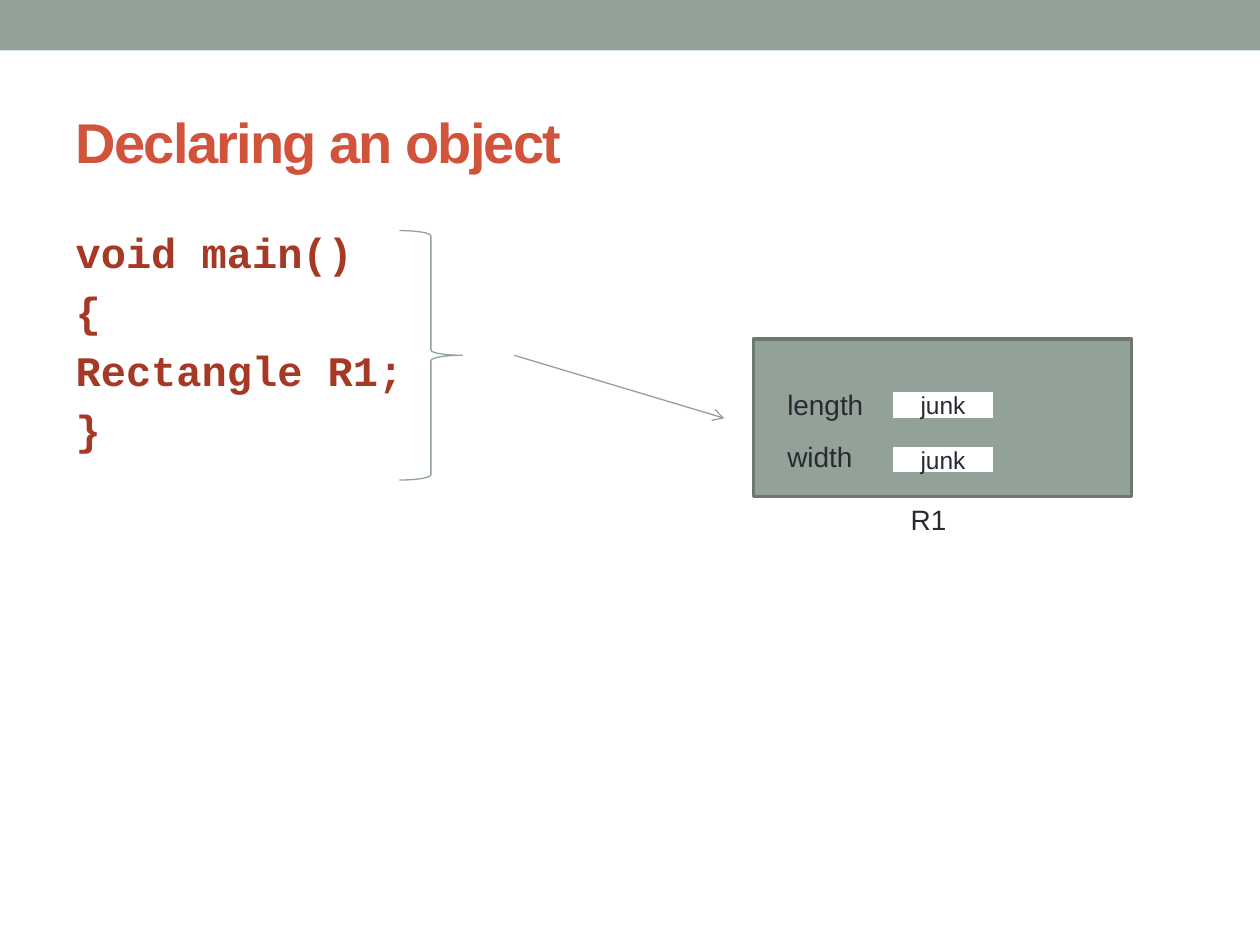
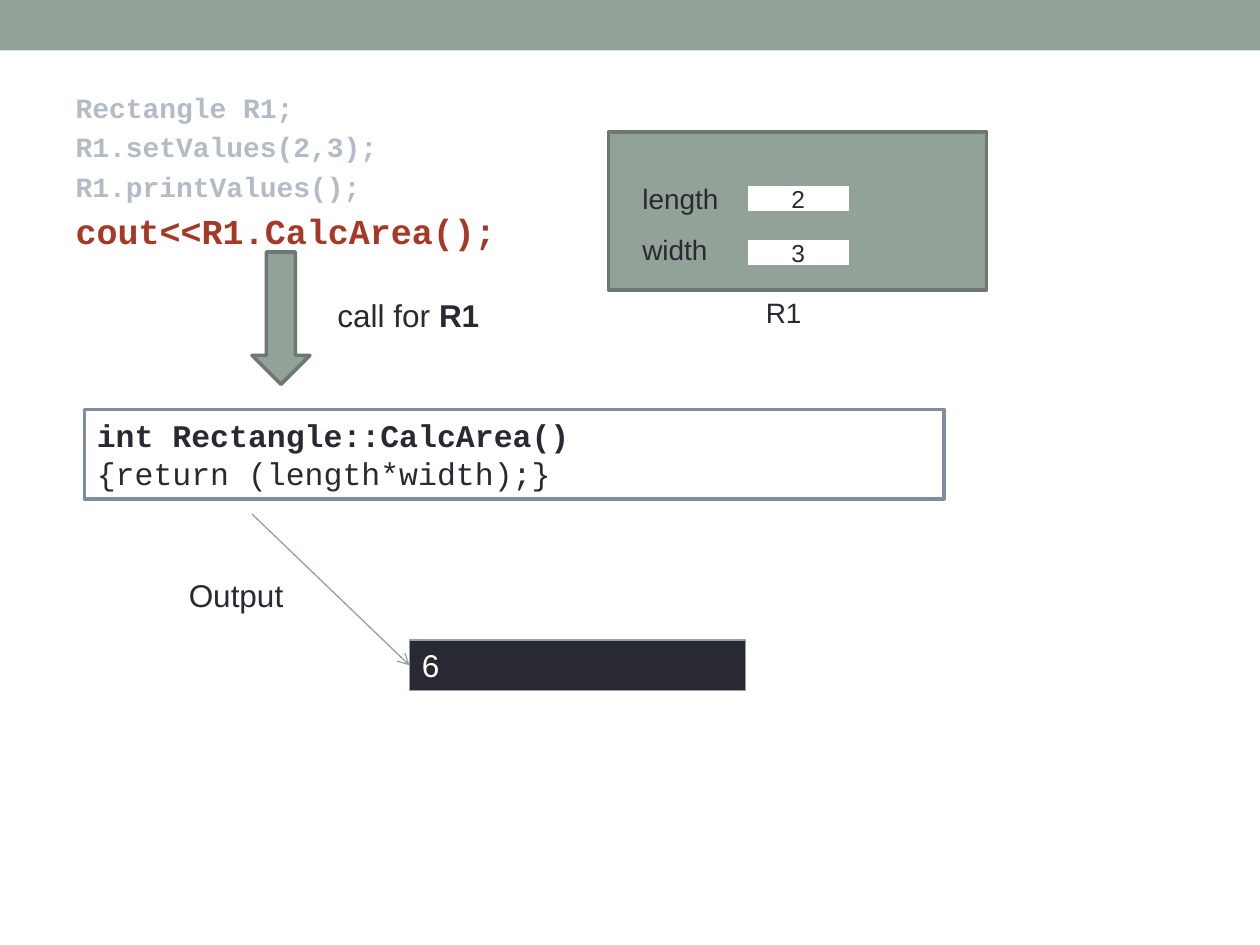
from lxml import etree
from pptx import Presentation
from pptx.dml.color import RGBColor
from pptx.enum.shapes import MSO_CONNECTOR, MSO_SHAPE
from pptx.enum.text import MSO_ANCHOR, MSO_AUTO_SIZE, PP_ALIGN
from pptx.oxml.ns import qn
from pptx.util import Inches, Pt

RECTANGLE, BRACE, DOWN_ARROW = MSO_SHAPE.RECTANGLE, MSO_SHAPE.RIGHT_BRACE, MSO_SHAPE.DOWN_ARROW
STRAIGHT = MSO_CONNECTOR.STRAIGHT
TOP, MIDDLE = MSO_ANCHOR.TOP, MSO_ANCHOR.MIDDLE
LEFT, CENTER = PP_ALIGN.LEFT, PP_ALIGN.CENTER
NO_AUTOFIT = MSO_AUTO_SIZE.NONE

SAGE, DARK_SAGE, SLATE = "93A299", "6D7871", "808DA0"
INK, WHITE, FADED = "292934", "FFFFFF", "B3BBC6"
TITLE_RED, CODE_RED = "D2533C", "A53926"
SANS, MONO = "Arial", "Courier New"
THICK, THIN = 2.08, 0.75


def color(hex_value):
    return RGBColor.from_string(hex_value)


def place(shape, box):
    shape.left, shape.top, shape.width, shape.height = map(Inches, box)


def write_text(shape, paragraphs, size=18, font=SANS, fill=INK, bold=False,
               align=LEFT, anchor=TOP, spacing=None):
    """Fill a shape; a paragraph is a list of (text, format changes) runs."""
    frame = shape.text_frame
    frame.word_wrap = True
    frame.auto_size = NO_AUTOFIT
    frame.vertical_anchor = anchor
    for index, runs in enumerate(paragraphs):
        paragraph = frame.paragraphs[0] if index == 0 else frame.add_paragraph()
        paragraph.alignment = align
        for text, changes in runs:
            run = paragraph.add_run()
            run.text = text
            run.font.name = font
            run.font.size = Pt(changes.get("size", size))
            run.font.bold = changes.get("bold", bold)
            run.font.color.rgb = color(changes.get("fill", fill))
            if spacing is not None:
                run.font._element.set("spc", str(int(spacing * 100)))


def add_label(slide, text, box, **text_format):
    write_text(slide.shapes.add_textbox(*map(Inches, box)), [[(text, {})]], **text_format)


def add_block(slide, kind, box, fill=None, line=None, line_width=THICK):
    shape = slide.shapes.add_shape(kind, *map(Inches, box))
    shape.shadow.inherit = False
    if fill:
        shape.fill.solid()
        shape.fill.fore_color.rgb = color(fill)
    else:
        shape.fill.background()
    if line:
        shape.line.color.rgb = color(line)
        shape.line.width = Pt(line_width)
    else:
        shape.line.fill.background()
    return shape


def add_arrow(slide, start, end):
    arrow = slide.shapes.add_connector(STRAIGHT, *map(Inches, (*start, *end)))
    arrow.line.color.rgb = color(SAGE)
    arrow.line.width = Pt(THIN)
    etree.SubElement(arrow.line._get_or_add_ln(), qn("a:tailEnd"), type="arrow")
    etree.SubElement(arrow._element.spPr, qn("a:effectLst"))


def add_master_band(presentation, slide):
    """Draw the top band and hand it to the master shared by all slides."""
    band = add_block(slide, RECTANGLE, (0, 0, 10, 0.4), SAGE)
    presentation.slide_master.shapes._spTree.append(band._element)


def set_title(slide, text, box):
    place(slide.shapes.title, box)
    write_text(slide.shapes.title, [[(text, {})]], size=32, fill=TITLE_RED,
               bold=True, anchor=MIDDLE, spacing=-1)


def set_code(slide, lines, box, **text_format):
    body = slide.placeholders[1]
    place(body, box)
    write_text(body, [[line] for line in lines], font=MONO, bold=True, **text_format)
    for paragraph in body.text_frame.paragraphs:
        properties = paragraph._p.get_or_add_pPr()
        properties.set("marL", "0")
        properties.set("indent", "0")
        etree.SubElement(properties, qn("a:buNone"))


def add_object_box(slide, left, top, members):
    """Memory view of R1: a box with one row per data member."""
    add_block(slide, RECTANGLE, (left, top, 3, 1.25), SAGE, DARK_SAGE)
    for row, (name, value) in enumerate(members):
        add_label(slide, name, (left + 0.17, top + 0.34 + 0.41 * row, 0.83, 0.37), size=16)
        cell = add_block(slide, RECTANGLE,
                         (left + 1.09, top + 0.41 + 0.43 * row, 0.83, 0.23), WHITE, SAGE)
        write_text(cell, [[(value, {})]], size=14, align=CENTER, anchor=MIDDLE)
    add_label(slide, "R1", (left + 1.15, top + 1.25, 0.83, 0.37), size=16)


def build_declaration(slide):
    set_title(slide, "Declaring an object", (0.5, 0.58, 9, 1.08))
    lines = ["void main()", "{", "Rectangle R1;", "}"]
    set_code(slide, [(line, {}) for line in lines], (0.5, 1.75, 9, 5.33),
             size=24, fill=CODE_RED)
    add_object_box(slide, 5.98, 2.69, [("length", "junk"), ("width", "junk")])
    add_block(slide, BRACE, (3.17, 1.83, 0.5, 1.98), line=SAGE, line_width=THIN)
    add_arrow(slide, (4.08, 2.82), (5.75, 3.32))


def add_output(slide, left, top, text):
    """Console box with the labelled arrow that leads to its left edge."""
    console = add_block(slide, RECTANGLE, (left, top, 2.67, 0.4), INK, SAGE, THIN)
    write_text(console, [[(text, {})]], fill=WHITE)
    add_arrow(slide, (left - 1.25, top - 1), (left, top + 0.2))
    add_label(slide, "Output", (left - 1.85, top - 0.56, 1.05, 0.4))


def build_area_call(slide):
    title = slide.shapes.title._element
    title.getparent().remove(title)

    # Calling code and the object it acts on
    lines = [(line, {}) for line in
             ("Rectangle R1;", "R1.setValues(2,3);", "R1.printValues();")]
    lines.append(("cout<<R1.CalcArea();", {"size": 20, "fill": CODE_RED}))
    set_code(slide, lines, (0.5, 0.67, 9, 6.42), size=16, fill=FADED)
    add_object_box(slide, 4.83, 1.05, [("length", "2"), ("width", "3")])

    # Member function that is called
    function_box = add_block(slide, RECTANGLE, (0.67, 3.25, 6.82, 0.71), WHITE, SLATE)
    write_text(function_box, [[("int Rectangle::CalcArea()", {"bold": True})],
                              [("{return (length*width);}", {})]], font=MONO)
    add_block(slide, DOWN_ARROW, (2, 2, 0.46, 1.05), SAGE, DARK_SAGE)
    call_label = slide.shapes.add_textbox(*map(Inches, (2.58, 2.3, 1.92, 0.4)))
    write_text(call_label, [[("call for ", {}), ("R1", {"bold": True})]])

    # Printed result
    add_output(slide, 3.25, 5.08, "6")


def main():
    presentation = Presentation()
    presentation.slide_width, presentation.slide_height = Inches(10), Inches(7.5)
    layout = presentation.slide_layouts[1]
    slides = [presentation.slides.add_slide(layout) for _ in range(2)]
    add_master_band(presentation, slides[0])
    build_declaration(slides[0])
    build_area_call(slides[1])
    presentation.save("out.pptx")


if __name__ == "__main__":
    main()
